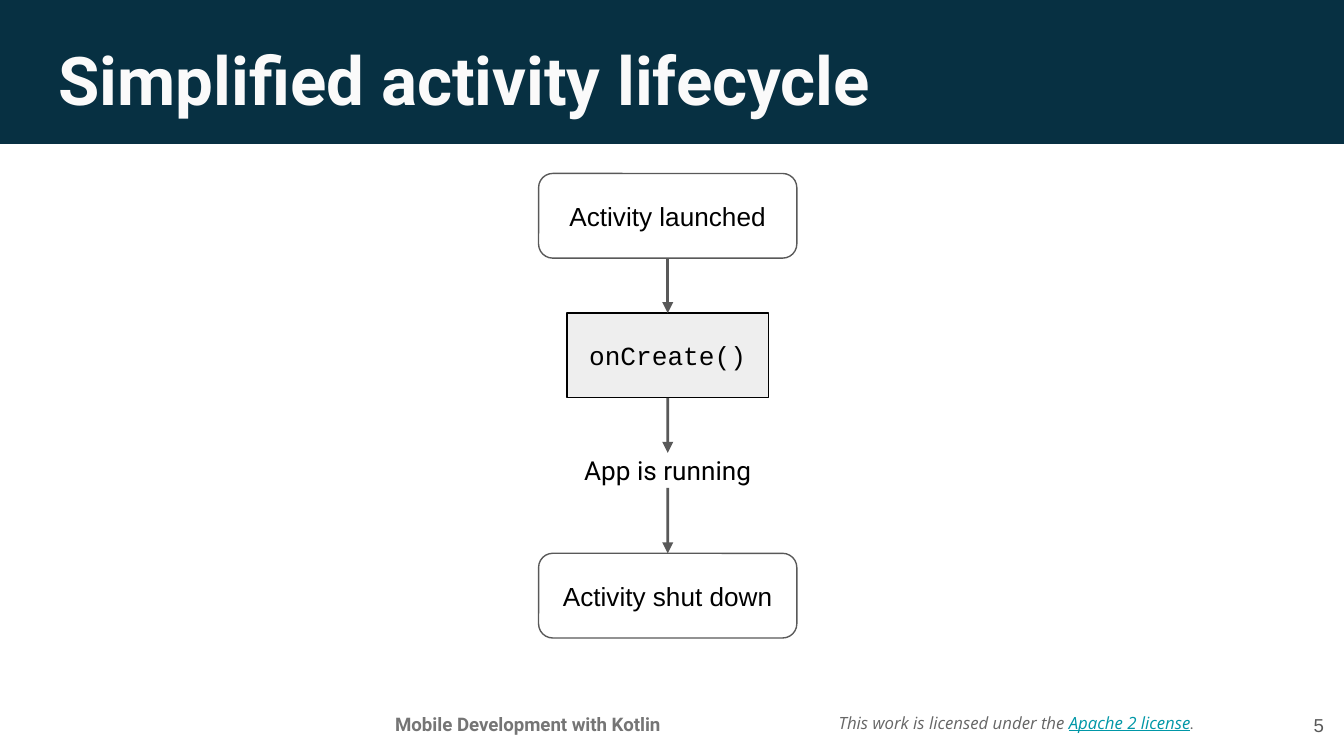
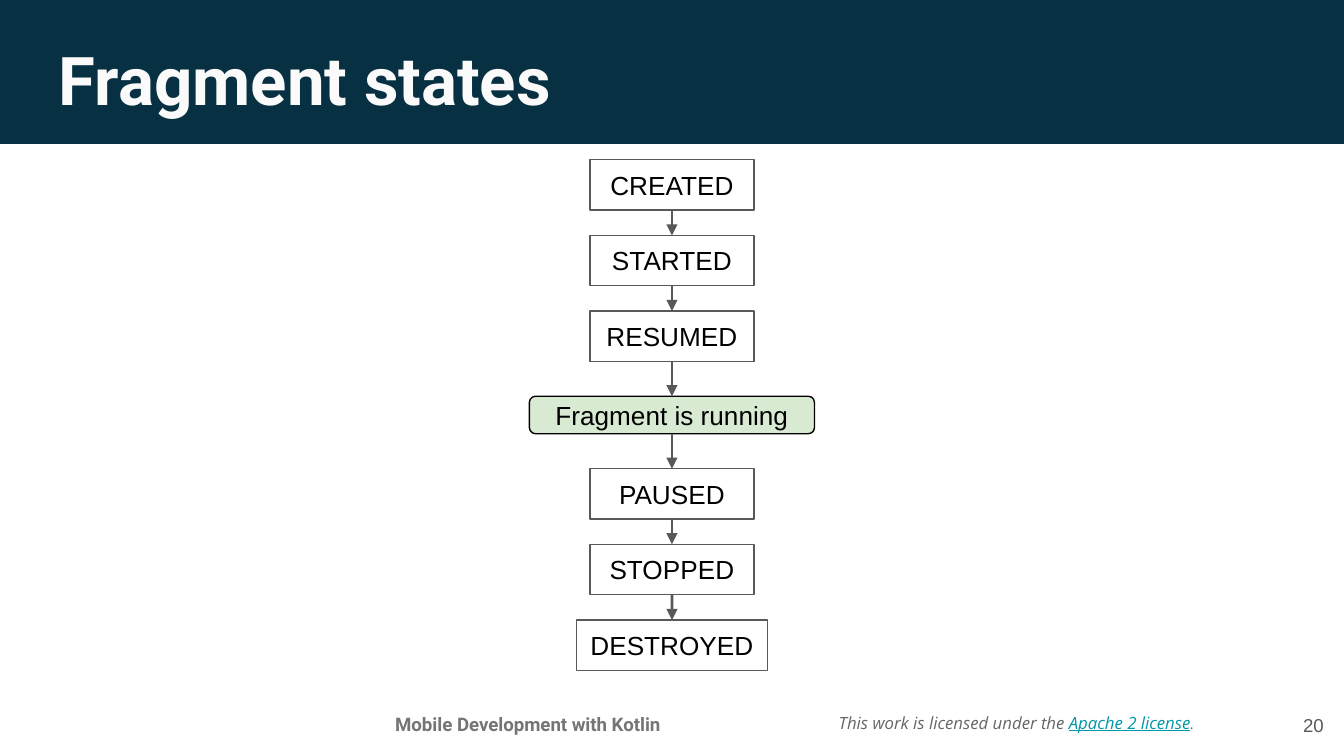
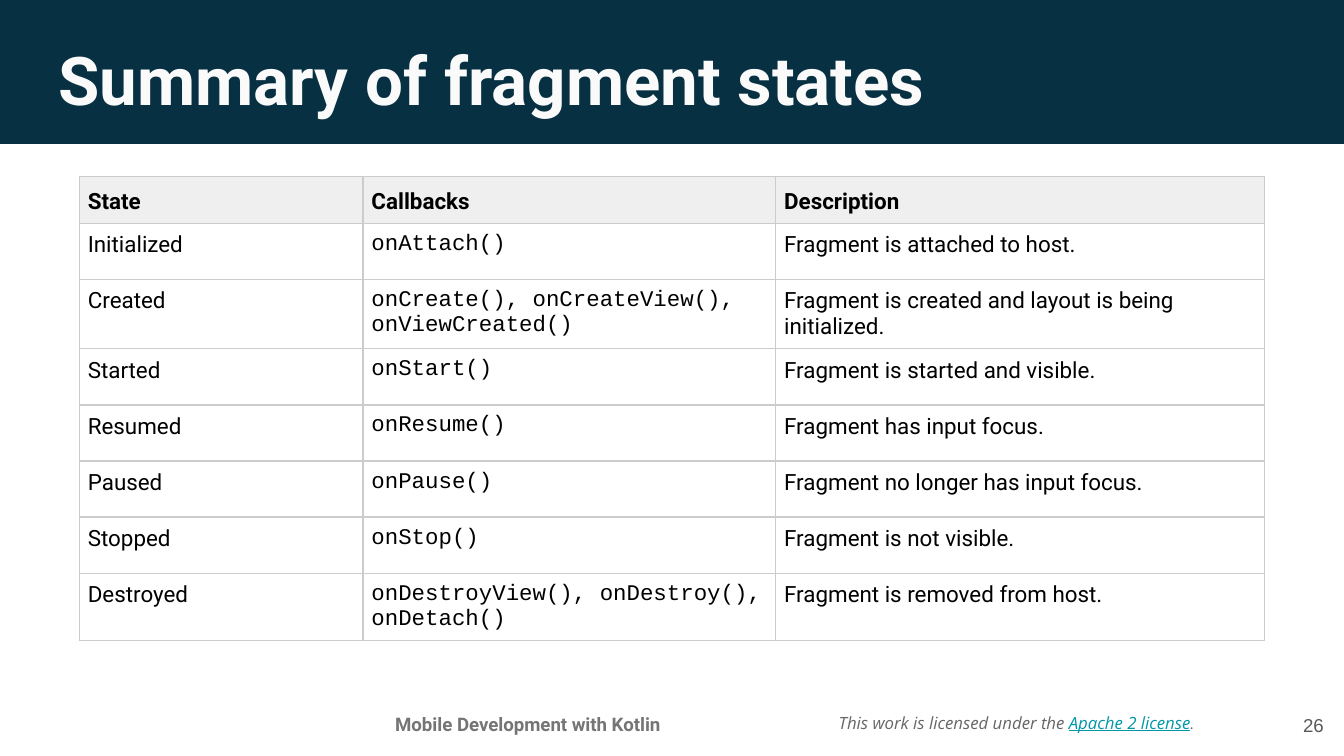
from dataclasses import dataclass
from itertools import pairwise

from lxml.etree import SubElement
from pptx import Presentation
from pptx.dml.color import RGBColor
from pptx.enum.shapes import MSO_CONNECTOR as Connector, MSO_SHAPE as Preset
from pptx.enum.text import MSO_ANCHOR as Anchor, MSO_AUTO_SIZE as AutoSize, PP_ALIGN as Align
from pptx.oxml.ns import qn
from pptx.util import Cm, Pt

NAVY = "073042"
OFF_WHITE = "FAFAFA"
BLACK = "000000"
GREY = "595959"
FOOTER_GREY = "757575"
LICENSE_GREY = "666666"
LINK_TEAL = "0097A7"
LIGHT_GREY = "EEEEEE"
HEADER_GREY = "EFEFEF"
BORDER_GREY = "CCCCCC"
GREEN = "D9EAD3"

SANS = "Roboto"
PLAIN = "Arial"
CODE = "Courier New"
INSET = Cm(0.25)


@dataclass
class Step:
    text: str
    width: float
    height: float
    gap: float = 0
    preset: object = Preset.RECTANGLE
    fill: str = ""
    line: str = GREY
    font: str = PLAIN


def color(value):
    return RGBColor.from_string(value)


def format_run(run, name, size, value, bold=False, italic=False, underline=False):
    font = run.font
    font.name = name
    font.size = Pt(size)
    font.color.rgb = color(value)
    font.bold = bold
    font.italic = italic
    font.underline = underline


def set_frame(text_frame, anchor):
    text_frame.word_wrap = True
    text_frame.auto_size = AutoSize.NONE
    text_frame.vertical_anchor = anchor
    text_frame.margin_left = text_frame.margin_right = INSET
    text_frame.margin_top = text_frame.margin_bottom = INSET


def set_text(shape, text, name, size, value, align, anchor=Anchor.MIDDLE, bold=False):
    set_frame(shape.text_frame, anchor)
    paragraph = shape.text_frame.paragraphs[0]
    paragraph.text = text
    paragraph.alignment = align
    format_run(paragraph.runs[0], name, size, value, bold)


def set_fill(fill, value):
    if value:
        fill.solid()
        fill.fore_color.rgb = color(value)
    else:
        fill.background()


def add_band(slide):
    band = slide.shapes.add_shape(Preset.RECTANGLE, Cm(-0.03), Cm(-0.1), Cm(25.43), Cm(2.82))
    band.shadow.inherit = False
    set_fill(band.fill, NAVY)
    band.line.fill.background()
    return band


def add_course_name(slide):
    box = slide.shapes.add_textbox(Cm(6.38), Cm(13.23), Cm(7.19), Cm(0.81))
    set_text(box, "Mobile Development with Kotlin", SANS, 10, FOOTER_GREY,
             Align.CENTER, Anchor.TOP, bold=True)
    return box


def add_license(slide):
    box = slide.shapes.add_textbox(Cm(15.6), Cm(13.06), Cm(7.47), Cm(1.19))
    set_frame(box.text_frame, Anchor.MIDDLE)
    paragraph = box.text_frame.paragraphs[0]
    for text, font, value, underline in (
        ("This work is licensed under the ", "Open Sans", LICENSE_GREY, False),
        ("Apache 2 license", "Open Sans", LINK_TEAL, True),
        (".", SANS, LICENSE_GREY, False),
    ):
        run = paragraph.add_run()
        run.text = text
        format_run(run, font, 9, value, italic=True, underline=underline)
    return box


def decorate_layout(layout, slide):
    tree = layout.shapes.element
    for placeholder in list(layout.placeholders):
        if placeholder.placeholder_format.idx:
            tree.remove(placeholder.element)
    for shape in [add_band(slide), add_course_name(slide), add_license(slide)]:
        tree.append(shape.element)


def fill_title(slide, title):
    shape = slide.shapes.title
    shape.left, shape.top, shape.width, shape.height = Cm(0.86), Cm(0.48), Cm(23.67), Cm(1.6)
    set_text(shape, title, SANS, 36, OFF_WHITE, Align.LEFT, Anchor.TOP, bold=True)


def add_number(slide, number):
    box = slide.shapes.add_textbox(Cm(23.75), Cm(13.16), Cm(1.52), Cm(1.09))
    set_text(box, str(number), PLAIN, 10, GREY, Align.RIGHT)


def add_step(shapes, step, center, top):
    place = Cm(center - step.width / 2), Cm(top), Cm(step.width), Cm(step.height)
    if step.preset is None:
        shape = shapes.add_textbox(*place)
    else:
        shape = shapes.add_shape(step.preset, *place)
        shape.shadow.inherit = False
        set_fill(shape.fill, step.fill)
        shape.line.color.rgb = color(step.line)
        shape.line.width = Pt(0.75)
    set_text(shape, step.text, step.font, 14, BLACK, Align.CENTER)
    return shape


def add_arrow(shapes, upper, lower):
    x = upper.left + upper.width // 2
    arrow = shapes.add_connector(Connector.STRAIGHT, x, upper.top + upper.height, x, lower.top)
    arrow.begin_connect(upper, 2)
    arrow.end_connect(lower, 0)
    arrow.line.color.rgb = color(GREY)
    arrow.line.width = Pt(1.5)
    SubElement(arrow.line._get_or_add_ln(), qn("a:tailEnd"), type="triangle")
    SubElement(arrow.element.spPr, qn("a:effectLst"))


def add_flow(shapes, steps, center, top):
    boxes = []
    for step in steps:
        boxes.append(add_step(shapes, step, center, top))
        top += step.height + step.gap
    for upper, lower in pairwise(boxes):
        add_arrow(shapes, upper, lower)


def add_borders(cell):
    properties = cell._tc.get_or_add_tcPr()
    for side in ("lnL", "lnR", "lnT", "lnB"):
        border = SubElement(properties, qn(f"a:{side}"), w=str(Pt(0.75)))
        fill = SubElement(border, qn("a:solidFill"))
        SubElement(fill, qn("a:srgbClr"), val=BORDER_GREY)


def fill_cell(cell, text, font, header):
    add_borders(cell)
    set_fill(cell.fill, HEADER_GREY if header else "")
    cell.margin_left = cell.margin_right = cell.margin_top = cell.margin_bottom = Cm(0.16)
    paragraph = cell.text_frame.paragraphs[0]
    paragraph.text = text
    if header:
        paragraph.line_spacing = 1.15
    format_run(paragraph.runs[0], font, 12, BLACK, bold=header)


def add_state_table(slide, rows):
    widths = (5.36, 7.8, 9.24)
    heights = [0.87] + [1.06] * (len(rows) - 1)
    table = slide.shapes.add_table(len(rows), len(widths), Cm(1.5), Cm(3.33),
                                   Cm(sum(widths)), Cm(sum(heights))).table
    table.first_row = table.horz_banding = False
    for column, width in zip(table.columns, widths):
        column.width = Cm(width)
    for row, height in zip(table.rows, heights):
        row.height = Cm(height)
    for row_index, row in enumerate(rows):
        header = row_index == 0
        for column_index, text in enumerate(row):
            font = CODE if column_index == 1 and not header else SANS
            fill_cell(table.cell(row_index, column_index), text, font, header)


def main():
    presentation = Presentation()
    presentation.slide_width, presentation.slide_height = Cm(25.4), Cm(14.29)
    layout = presentation.slide_layouts[5]

    titles = {5: "Simplified activity lifecycle", 20: "Fragment states",
              26: "Summary of fragment states"}
    slides = [presentation.slides.add_slide(layout) for _ in titles]
    lifecycle, states, summary = slides
    decorate_layout(layout, lifecycle)
    for slide, (number, title) in zip(slides, titles.items()):
        fill_title(slide, title)
        add_number(slide, number)

    add_flow(lifecycle.shapes, [
        Step("Activity launched", 4.88, 1.6, 1.04, Preset.ROUNDED_RECTANGLE),
        Step("onCreate()", 3.81, 1.6, 1.04, fill=LIGHT_GREY, line=BLACK, font=CODE),
        Step("App is running", 4.98, 0.66, 1.24, None, font=SANS),
        Step("Activity shut down", 4.88, 1.6, preset=Preset.ROUNDED_RECTANGLE),
    ], center=12.62, top=3.28)

    add_flow(states.shapes.add_group_shape().shapes, [
        Step("CREATED", 3.1, 0.95, 0.48),
        Step("STARTED", 3.1, 0.95, 0.48),
        Step("RESUMED", 3.1, 0.95, 0.66),
        Step("Fragment is running", 5.39, 0.71, 0.66, Preset.ROUNDED_RECTANGLE, GREEN, BLACK),
        Step("PAUSED", 3.1, 0.95, 0.48),
        Step("STOPPED", 3.1, 0.95, 0.48),
        Step("DESTROYED", 3.61, 0.95),
    ], center=12.7, top=3.02)

    add_state_table(summary, [
        ("State", "Callbacks", "Description"),
        ("Initialized", "onAttach()", "Fragment is attached to host."),
        ("Created", "onCreate(), onCreateView(), onViewCreated()",
         "Fragment is created and layout is being initialized."),
        ("Started", "onStart()", "Fragment is started and visible."),
        ("Resumed", "onResume()", "Fragment has input focus."),
        ("Paused", "onPause()", "Fragment no longer has input focus."),
        ("Stopped", "onStop()", "Fragment is not visible."),
        ("Destroyed", "onDestroyView(), onDestroy(), onDetach()",
         "Fragment is removed from host."),
    ])

    presentation.save("out.pptx")


if __name__ == "__main__":
    main()
